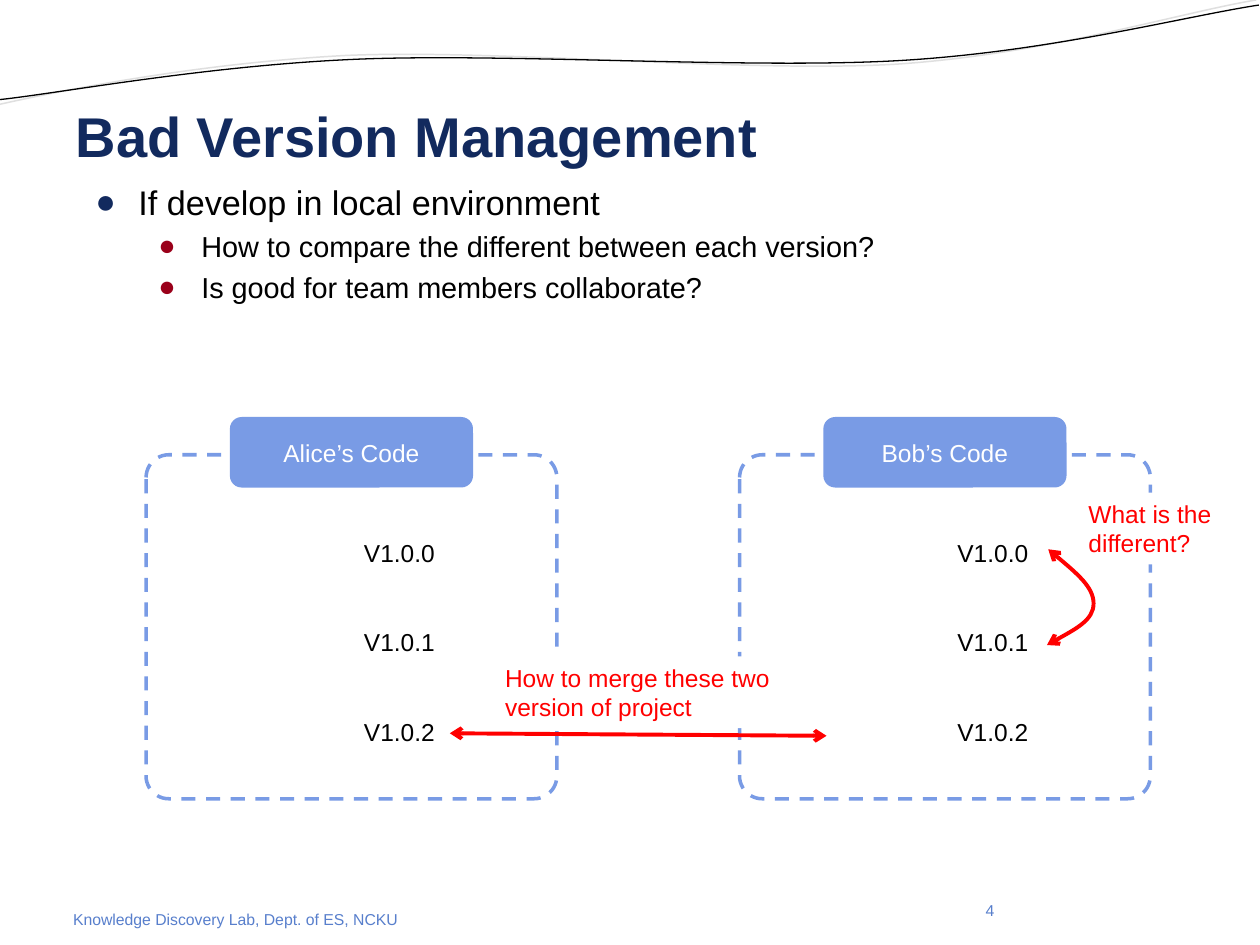
from lxml import etree
from pptx import Presentation
from pptx.dml.color import RGBColor
from pptx.enum.dml import MSO_LINE
from pptx.enum.shapes import MSO_CONNECTOR, MSO_SHAPE
from pptx.enum.text import MSO_ANCHOR, PP_ALIGN
from pptx.oxml.ns import qn
from pptx.util import Inches, Pt

ROUNDED, RECT = MSO_SHAPE.ROUNDED_RECTANGLE, MSO_SHAPE.RECTANGLE
LEFT, CENTER, RIGHT = PP_ALIGN.LEFT, PP_ALIGN.CENTER, PP_ALIGN.RIGHT
TOP, MIDDLE, BOTTOM = MSO_ANCHOR.TOP, MSO_ANCHOR.MIDDLE, MSO_ANCHOR.BOTTOM
WIDTH, HEIGHT = 10, 7.5
MARGIN = WIDTH / 20
FONT = "Arial"
NAVY, MAROON, BLUE, FOOTER_BLUE = "122A5E", "9A001A", "799BE5", "587FCC"
RED, WHITE, BLACK, GRAY = "FF0000", "FFFFFF", "000000", "DFDFDF"


def color(value):
    return RGBColor.from_string(value)


def inches(*values):
    return [Inches(value) for value in values]


def style_text(shape, text, size, text_color, align=LEFT, anchor=TOP, bold=False, wrap=True):
    frame = shape.text_frame
    frame.text = text
    frame.word_wrap = wrap
    frame.vertical_anchor = anchor
    for para in frame.paragraphs:
        para.alignment = align
        for span in para.runs:
            font = span.font
            font.name, font.size, font.bold = FONT, Pt(size), bold
            font.color.rgb = color(text_color)


def add_text(page, box, text, size, text_color, **options):
    shape = page.shapes.add_textbox(*inches(*box))
    style_text(shape, text, size, text_color, **options)
    return shape


def add_block(page, kind, box, fill=None):
    shape = page.shapes.add_shape(kind, *inches(*box))
    shape.shadow.inherit = False
    shape.line.fill.background()
    if fill:
        shape.fill.solid()
        shape.fill.fore_color.rgb = color(fill)
    else:
        shape.fill.background()
    return shape


def style_line(shape, line_color, width, arrows=False):
    shape.line.color.rgb = color(line_color)
    shape.line.width = Pt(width)
    if arrows:
        outline = shape.line._get_or_add_ln()
        for end in ("a:headEnd", "a:tailEnd"):
            etree.SubElement(outline, qn(end), type="arrow")


def add_curve(page, points, line_color, width, arrows=False):
    """Draw cubic curves: a start point, then three points for each curve."""
    start, *rest = [inches(*point) for point in points]
    builder = page.shapes.build_freeform(*start)
    builder.add_line_segments(rest, close=False)
    shape = builder.convert_to_shape()
    shape.shadow.inherit = False
    shape.fill.background()
    style_line(shape, line_color, width, arrows)
    # Join each three straight segments into one Bezier curve
    segments = list(shape._element.iter(qn("a:lnTo")))
    for first in range(0, len(segments), 3):
        curve = etree.SubElement(segments[first].getparent(), qn("a:cubicBezTo"))
        for segment in segments[first:first + 3]:
            curve.append(segment[0])
            segment.getparent().remove(segment)


def add_header_curves(page):
    add_curve(page, [(-0.01, 0.83), (0.48, 0.72), (1.58, 0.5), (2.76, 0.44),
                     (3.95, 0.39), (5.91, 0.58), (7.11, 0.51),
                     (8.31, 0.43), (9.37, 0.1), (9.97, 0)], GRAY, 0.85)
    add_curve(page, [(0, 0.79), (0.47, 0.74), (1.64, 0.52), (2.83, 0.47),
                     (4.02, 0.42), (5.96, 0.55), (7.15, 0.48),
                     (8.34, 0.41), (9.4, 0.13), (9.99, 0.04)], BLACK, 0.75)


def add_title(page, box, text):
    title = page.shapes.title
    title.left, title.top, title.width, title.height = inches(*box)
    style_text(title, text, 32, NAVY, anchor=BOTTOM, bold=True)


def add_bullets(page, box, items):
    texts = "\n".join(text for _, text in items)
    body = add_text(page, box, texts, 16.5, BLACK)
    for index, (para, (level, _)) in enumerate(zip(body.text_frame.paragraphs, items)):
        para.level = level
        para.space_before = Pt(3.6 if index else 0)
        properties = para._p.get_or_add_pPr()
        properties.set("marL", str(Inches(0.5 * (level + 1))))
        properties.set("indent", str(Inches(-0.34)))
        bullet_color = etree.SubElement(properties, qn("a:buClr"))
        etree.SubElement(bullet_color, qn("a:srgbClr"), val=MAROON if level else NAVY)
        etree.SubElement(properties, qn("a:buFont"), typeface=FONT)
        etree.SubElement(properties, qn("a:buChar"), char="●")
        if level == 0:
            para.runs[0].font.size = Pt(19.5)


def add_code_panel(page, box, owner, versions):
    left, top, width, height = box
    # Dashed frame below the name tab
    tab_height = 0.56
    frame_top = top + 0.3
    frame = add_block(page, ROUNDED, (left, frame_top, width, height - 0.3))
    frame.adjustments[0] = 0.066
    style_line(frame, BLUE, 2)
    frame.line.dash_style = MSO_LINE.DASH
    # Name tab, centred on the frame
    tab_width = 1.93
    tab = add_block(page, ROUNDED, (left + (width - tab_width) / 2, top, tab_width, tab_height), BLUE)
    style_text(tab, owner, 14, WHITE, align=CENTER, anchor=MIDDLE)
    # Version labels, evenly spaced
    for row, version in enumerate(versions):
        label_top = top + 0.91 + 0.71 * row
        add_text(page, (left + width / 2, label_top, 0.77, 0.34), version, 14, BLACK, wrap=False)


def add_question(page, box, text):
    style_text(add_block(page, RECT, box, WHITE), text, 14, RED)


def add_merge_arrow(page, start, end):
    arrow = page.shapes.add_connector(MSO_CONNECTOR.STRAIGHT, *inches(*start, *end))
    style_line(arrow, RED, 2.25, arrows=True)
    etree.SubElement(arrow._element.spPr, qn("a:effectLst"))


def add_footer(page, box, text, number):
    left, top, width, height = box
    footer = add_text(page, (left, top, width * 0.47, height), text, 9, FOOTER_BLUE, anchor=BOTTOM)
    frame = footer.text_frame
    frame.margin_left = frame.margin_right = Inches(0.07)
    frame.margin_top = frame.margin_bottom = Inches(0.04)
    add_text(page, (7.4, top + 0.04, 0.59, height), number, 9, FOOTER_BLUE, align=RIGHT)


def main():
    deck = Presentation()
    deck.slide_width, deck.slide_height = inches(WIDTH, HEIGHT)
    page = deck.slides.add_slide(deck.slide_layouts[5])
    content_width = WIDTH - 2 * MARGIN

    add_header_curves(page)
    add_footer(page, (MARGIN + 0.01, 7.06, content_width, 0.35),
               "Knowledge Discovery Lab, Dept. of ES, NCKU", "4")
    add_title(page, (MARGIN, 0.45, content_width, 0.94), "Bad Version Management")
    add_bullets(page, (MARGIN, 1.39, content_width, 1.73), [
        (0, "If develop in local environment"),
        (1, "How to compare the different between each version?"),
        (1, "Is good for team members collaborate?"),
    ])

    # Two code panels side by side
    versions = ["V1.0.0", "V1.0.1", "V1.0.2"]
    for column, owner in enumerate(["Alice’s Code", "Bob’s Code"]):
        add_code_panel(page, (1.16 + 4.71 * column, 3.31, 3.26, 3.03), owner, versions)

    # Questions and their arrows
    add_merge_arrow(page, (3.57, 5.82), (6.56, 5.84))
    add_question(page, (3.91, 5.21, 2.65, 0.57), "How to merge these two version of project")
    add_curve(page, [(8.32, 4.36), (8.5, 4.51), (8.68, 4.66), (8.68, 4.79),
                     (8.68, 4.92), (8.49, 5.02), (8.31, 5.12)], RED, 2.25, arrows=True)
    add_question(page, (8.54, 3.91, 1.45, 0.57), "What is the different?")

    deck.save("out.pptx")


if __name__ == "__main__":
    main()
